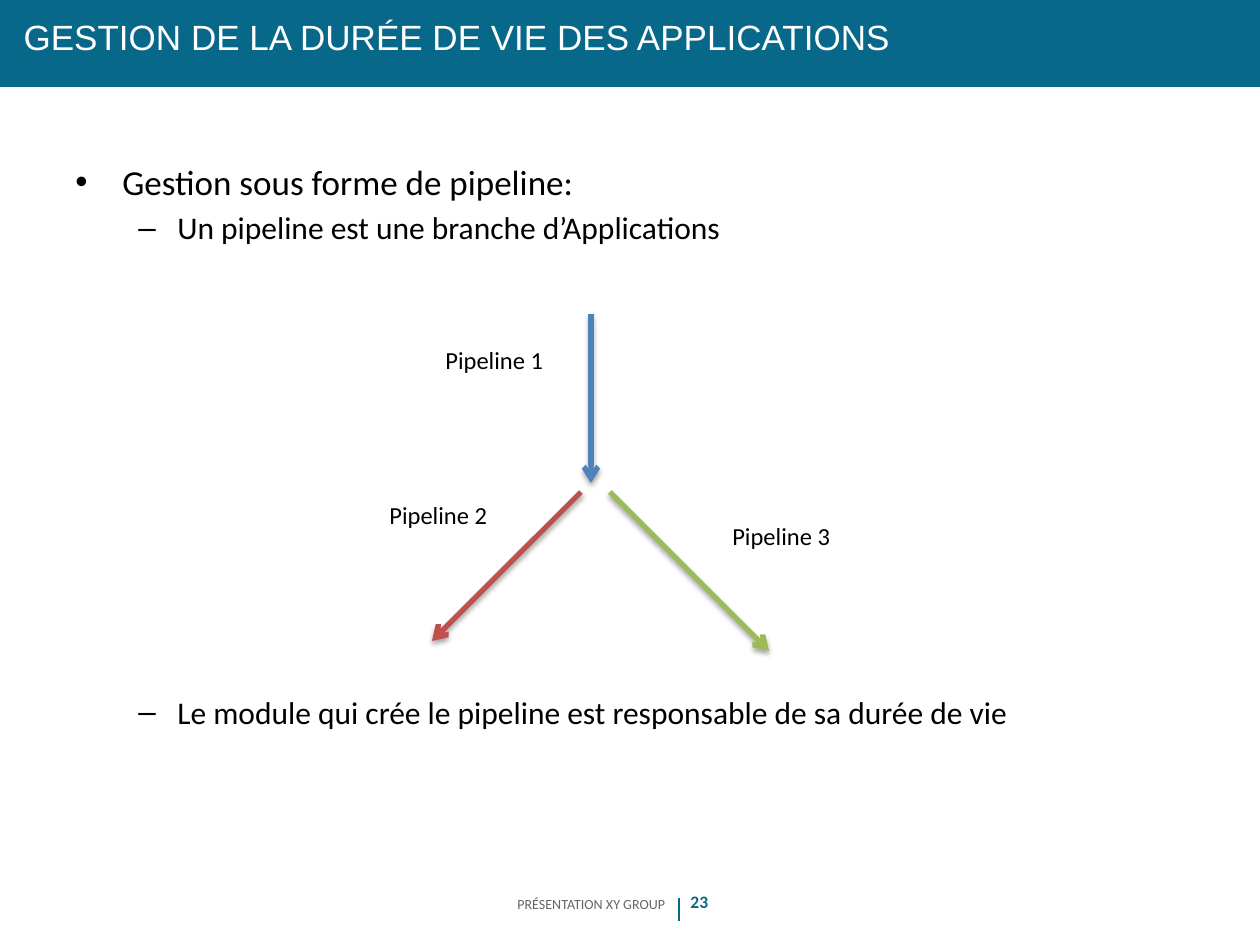
from lxml import etree
from pptx import Presentation, util as u
from pptx.dml.color import RGBColor
from pptx.enum import shapes, text
from pptx.oxml import parse_xml
from pptx.oxml.ns import nsdecls, qn

PIXEL = 914400 / 126
TEAL = RGBColor(0x07, 0x68, 0x89)
GREY = RGBColor(0x66, 0x66, 0x66)
BLACK = RGBColor(0, 0, 0)
WHITE = RGBColor(255, 255, 255)
BLUE = RGBColor(0x4F, 0x81, 0xBD)
RED = RGBColor(0xC0, 0x50, 0x4D)
GREEN = RGBColor(0x9B, 0xBB, 0x59)

TITLE = "GESTION DE LA DURÉE DE VIE DES APPLICATIONS"
BODY_AREA = (63, 154, 1134, 624)
# level, bullet, size, space before, wording
BULLETS = [
    (0, "•", 20, 4, "Gestion sous forme de pipeline:"),
    (1, "–", 18, 3.6, "Un pipeline est une branche d’Applications"),
    (1, "–", 18, 255, "Le module qui crée le pipeline est responsable de sa durée de vie"),
]
INDENTS = [(47, -47), (102, -39)]
ARROWS = [
    ((591, 314), (591, 483), BLUE),
    ((581, 492), (432, 641), RED),
    ((610, 492), (769, 651), GREEN),
]
LABELS = [("Pipeline 1", 433, 339), ("Pipeline 2", 377, 494), ("Pipeline 3", 720, 515)]
LABEL_SIZE = (128, 43)
SHADOW = (
    f'<a:effectLst {nsdecls("a")}><a:outerShdw blurRad="{u.Pt(3.1)}" dist="{u.Pt(1.8)}" '
    'dir="5400000" rotWithShape="0"><a:srgbClr val="000000"><a:alpha val="35000"/>'
    "</a:srgbClr></a:outerShdw></a:effectLst>"
)
NO_SHADOW = f'<a:effectLst {nsdecls("a")}/>'


def px(*values):
    return [u.Emu(round(value * PIXEL)) for value in values]


def add_span(para, wording, size, color, font="Calibri", bold=False):
    span = para.add_run()
    span.text = wording
    span.font.size = u.Pt(size)
    span.font.name = font
    span.font.color.rgb = color
    span.font.bold = bold


def add_box(area, wrap=True):
    frame = page.shapes.add_textbox(*px(*area)).text_frame
    frame.word_wrap = wrap
    return frame


def add_line(start, end, color, width, effect):
    line = page.shapes.add_connector(shapes.MSO_CONNECTOR.STRAIGHT, *px(*start, *end))
    line.line.color.rgb = color
    line.line.width = u.Pt(width)
    line._element.spPr.append(parse_xml(effect))
    return line


deck = Presentation()
deck.slide_width, deck.slide_height = px(1260, 945)
page = deck.slides.add_slide(deck.slide_layouts[5])

band = page.shapes.add_shape(shapes.MSO_SHAPE.RECTANGLE, *px(0, 0, 1260, 87))
band.shadow.inherit = False
band.fill.solid()
band.fill.fore_color.rgb = TEAL
band.line.fill.background()

title = page.shapes.title
title.left, title.top, title.width, title.height = px(11, 9, 1071, 70)
title.text_frame.vertical_anchor = text.MSO_ANCHOR.TOP
title.text_frame.auto_size = text.MSO_AUTO_SIZE.NONE
para = title.text_frame.paragraphs[0]
para.alignment = text.PP_ALIGN.LEFT
add_span(para, TITLE, 20, WHITE, "Arial")
page.shapes._spTree.append(title._element)

body = add_box(BODY_AREA)
for index, (level, bullet, size, gap, wording) in enumerate(BULLETS):
    para = body.add_paragraph() if index else body.paragraphs[0]
    para.level = level
    para.space_before = u.Pt(gap)
    margin, indent = px(*INDENTS[level])
    properties = para._p.get_or_add_pPr()
    properties.set("marL", str(margin))
    properties.set("indent", str(indent))
    etree.SubElement(properties, qn("a:buFont")).set("typeface", "Arial")
    etree.SubElement(properties, qn("a:buChar")).set("char", bullet)
    add_span(para, wording, size, BLACK)

for start, end, color in ARROWS:
    arrow = add_line(start, end, color, 3, SHADOW)
    etree.SubElement(arrow.line._get_or_add_ln(), qn("a:tailEnd")).set("type", "arrow")

for wording, left, top in LABELS:
    label = add_box((left, top, *LABEL_SIZE))
    add_span(label.paragraphs[0], wording, 14, BLACK)

footer = add_box((500, 891, 178, 42), wrap=False)
footer.paragraphs[0].alignment = text.PP_ALIGN.RIGHT
footer.paragraphs[0].line_spacing = 0.93
add_span(footer.paragraphs[0], "PRÉSENTATION XY GROUP", 8, GREY)

number = add_box((678, 887, 54, 46), wrap=False)
number.paragraphs[0].line_spacing = 0.93
add_span(number.paragraphs[0], "23", 10, TEAL, bold=True)
add_line((679, 898), (679, 921), TEAL, 1.5, NO_SHADOW)

deck.save("out.pptx")
